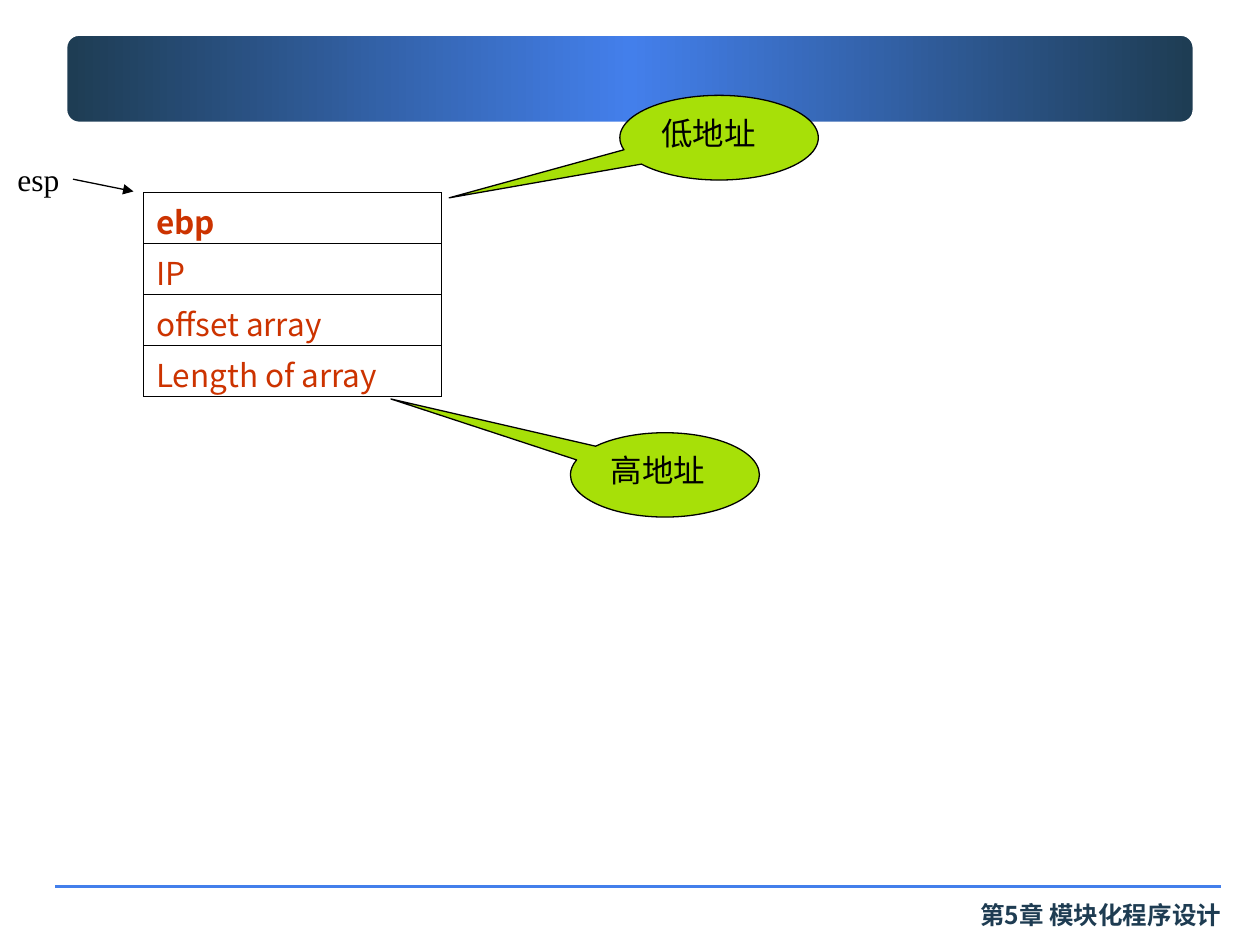
from copy import deepcopy

from lxml.etree import SubElement
from pptx import Presentation
from pptx.dml.color import RGBColor
from pptx.enum.shapes import MSO_CONNECTOR, MSO_SHAPE
from pptx.enum.text import MSO_ANCHOR, PP_ALIGN
from pptx.oxml.ns import qn
from pptx.util import Pt

COLORS = {
    "navy": "1E3C52",
    "blue": "437FEB",
    "lime": "A7E008",
    "red": "CC3300",
    "black": "000000",
    "white": "FFFFFF",
}
SANS, SERIF = "Noto Sans CJK SC", "Times New Roman"
STACK = ["ebp", "IP", "offset array", "Length of array"]
ROW_HEIGHT = 29.16


def color(name):
    return RGBColor.from_string(COLORS[name])


def write(tf, text, ink, align=PP_ALIGN.LEFT, **font):
    p = tf.paragraphs[0]
    p.alignment = align
    r = p.add_run()
    r.text = text
    r.font.color.rgb = color(ink)
    for name, value in font.items():
        setattr(r.font, name, value)
    SubElement(r.font._element, qn("a:ea")).set("typeface", SANS)


def set_line(sp, ink, width):
    sp.line.color.rgb = color(ink)
    sp.line.width = Pt(width)


def add_banner(slide):
    sp = slide.shapes.add_shape(
        MSO_SHAPE.ROUNDED_RECTANGLE, Pt(36), Pt(18), Pt(648), Pt(54))
    sp.shadow.inherit = False
    sp.adjustments[0] = 0.17
    sp.fill.gradient()
    sp.fill.gradient_angle = 0
    first = sp.fill.gradient_stops[0]._gs
    first.addnext(deepcopy(first))
    stops = zip(sp.fill.gradient_stops, (0, 0.5, 1), ("navy", "blue", "navy"))
    for stop, position, ink in stops:
        stop.position = position
        stop.color.rgb = color(ink)
    set_line(sp, "white", 5)


def add_line(slide, start, end, ink, width, arrow=False):
    points = [Pt(v) for v in (*start, *end)]
    line = slide.shapes.add_connector(MSO_CONNECTOR.STRAIGHT, *points)
    set_line(line, ink, width)
    if arrow:
        SubElement(line.line._get_or_add_ln(), qn("a:tailEnd")).set("type", "triangle")
    SubElement(line._element.spPr, qn("a:effectLst"))


def add_label(slide, box, text, ink, wrap=True, **style):
    tf = slide.shapes.add_textbox(*map(Pt, box)).text_frame
    tf.word_wrap = wrap
    write(tf, text, ink, **style)


def add_callout(slide, box, tip, text):
    """Draw an ellipse whose pointer tip is offset from its centre by shares of its size."""
    sp = slide.shapes.add_shape(MSO_SHAPE.OVAL_CALLOUT, *map(Pt, box))
    sp.shadow.inherit = False
    for i, offset in enumerate(tip):
        sp.adjustments[i] = offset
    sp.fill.solid()
    sp.fill.fore_color.rgb = color("lime")
    set_line(sp, "black", 0.75)
    sp.text_frame.vertical_anchor = MSO_ANCHOR.TOP
    write(sp.text_frame, text, "black", size=Pt(18), name=SERIF)


def add_borders(cell, ink, width):
    tc_pr = cell._tc.get_or_add_tcPr()
    for side in ("lnL", "lnR", "lnT", "lnB"):
        ln = SubElement(tc_pr, qn(f"a:{side}"), w=str(Pt(width)))
        fill = SubElement(ln, qn("a:solidFill"))
        SubElement(fill, qn("a:srgbClr")).set("val", COLORS[ink])


def add_stack(slide):
    table = slide.shapes.add_table(
        len(STACK), 1, Pt(82), Pt(110), Pt(170), Pt(ROW_HEIGHT * len(STACK))).table
    table.first_row = table.horz_banding = False
    for i, text in enumerate(STACK):
        table.rows[i].height = Pt(ROW_HEIGHT)
        cell = table.cell(i, 0)
        cell.margin_top, cell.margin_bottom = Pt(3), 0
        add_borders(cell, "black", 0.45)
        cell.fill.solid()
        cell.fill.fore_color.rgb = color("white")
        write(cell.text_frame, text, "red", size=Pt(18), name=SANS, bold=i == 0)


def main():
    prs = Presentation()
    prs.slide_width, prs.slide_height = Pt(720), Pt(540)
    slide = prs.slides.add_slide(prs.slide_layouts[6])
    add_banner(slide)
    add_line(slide, (31.7, 506.7), (697.7, 506.7), "blue", 2)
    add_label(slide, (534, 511, 171, 24.5), "第5章 模块化程序设计", "navy",
              align=PP_ALIGN.RIGHT, size=Pt(14), name=SANS, bold=True)
    add_stack(slide)
    add_callout(slide, (354.2, 54.5, 113.4, 48.4), (-1.36, 0.71), "低地址")
    add_callout(slide, (326, 247.3, 108, 48.2), (-1.45, -0.9), "高地址")
    add_label(slide, (2.9, 88, 38.2, 28.8), "esp", "black",
              wrap=False, size=Pt(18), name=SERIF)
    add_line(slide, (41.7, 102.4), (76.3, 109.4), "black", 0.75, arrow=True)
    prs.save("out.pptx")


if __name__ == "__main__":
    main()
